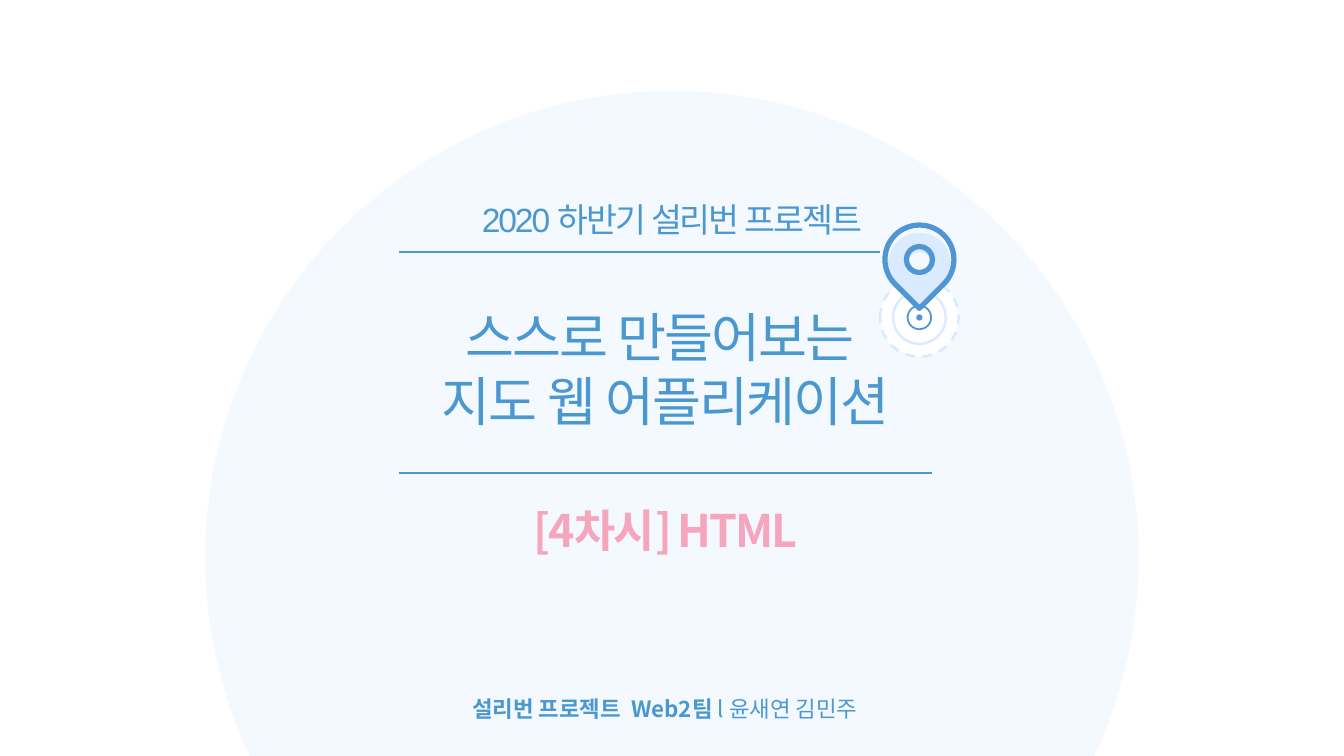
import math
from lxml import etree
from pptx import Presentation
from pptx.dml.color import RGBColor
from pptx.enum.dml import MSO_LINE
from pptx.enum.shapes import MSO_CONNECTOR, MSO_SHAPE
from pptx.enum.text import MSO_ANCHOR, MSO_AUTO_SIZE, PP_ALIGN
from pptx.oxml.ns import qn
from pptx.util import Cm, Pt

OVAL = MSO_SHAPE.OVAL
STRAIGHT = MSO_CONNECTOR.STRAIGHT
DASH = MSO_LINE.DASH
TOP = MSO_ANCHOR.TOP
GROW = MSO_AUTO_SIZE.SHAPE_TO_FIT_TEXT
CENTER = PP_ALIGN.CENTER

COLORS = {
    "white": "FFFFFF",
    "backdrop": "F4F9FF",
    "text": "4B98D1",
    "lesson": "F5A5BC",
    "pale": "DBEBFF",
    "pin": "5096D4",
}
NOTO = "Noto Sans CJK KR"
SLIDE_W, SLIDE_H = 33.87, 19.05
QUARTER_HANDLE = 0.55


def color(name):
    return RGBColor.from_string(COLORS[name])


def paint(sp, fill=None, line=None, width=1, dash=None):
    sp.shadow.inherit = False
    if fill:
        sp.fill.solid()
        sp.fill.fore_color.rgb = color(fill)
    else:
        sp.fill.background()
    if line:
        sp.line.color.rgb = color(line)
        sp.line.width = Pt(width)
        if dash:
            sp.line.dash_style = dash
    else:
        sp.line.fill.background()


def add_circle(shapes, cx, cy, radius, **style):
    sp = shapes.add_shape(OVAL, Cm(cx - radius), Cm(cy - radius), Cm(2 * radius), Cm(2 * radius))
    paint(sp, **style)


def write(sp, paragraphs, size, font, fill="text", spacing=None):
    tf = sp.text_frame
    tf.word_wrap = True
    tf.auto_size = GROW
    tf.vertical_anchor = TOP
    for i, runs in enumerate(paragraphs):
        p = tf.paragraphs[0] if i == 0 else tf.add_paragraph()
        p.alignment = CENTER
        p.line_spacing = 1.0
        p.space_before = Pt(0)
        for text, bold in runs:
            r = p.add_run()
            r.text = text
            r.font.size = Pt(size)
            r.font.bold = bold
            r.font.name = font
            r.font.color.rgb = color(fill)
            props = r.font._element
            etree.SubElement(props, qn("a:ea")).set("typeface", font)
            if spacing is not None:
                props.set("spc", str(int(spacing * 100)))


def add_text(shapes, x, y, w, h, runs, **style):
    write(shapes.add_textbox(Cm(x), Cm(y), Cm(w), Cm(h)), [runs], **style)


def add_rule(shapes, x, y, length):
    s = shapes.add_connector(STRAIGHT, Cm(x), Cm(y), Cm(x + length), Cm(y))
    s.line.color.rgb = color("text")
    s.line.width = Pt(1.5)
    etree.SubElement(s._element.spPr, qn("a:effectLst"))


def quarter_curves(cx, cy, radius, quarters):
    corners = [(1, 0), (0, 1), (-1, 0), (0, -1)]
    points = []
    for i in range(quarters):
        (ax, ay), (bx, by) = corners[i], corners[(i + 1) % 4]
        k = QUARTER_HANDLE
        for ux, uy in ((ax + k * bx, ay + k * by), (bx + k * ax, by + k * ay), (bx, by)):
            points.append((Cm(cx + radius * ux), Cm(cy + radius * uy)))
    return points


def bend(lines):
    for first, second, third in zip(lines[::3], lines[1::3], lines[2::3]):
        curve = etree.Element(qn("a:cubicBezTo"))
        first.addprevious(curve)
        for line in (first, second, third):
            curve.append(line[0])
            line.getparent().remove(line)


def add_drop(shapes, cx, tip, radius, hole, **style):
    cy = tip - radius * math.sqrt(2)
    builder = shapes.build_freeform(Cm(cx + radius), Cm(cy - radius))
    side = (Cm(cx + radius), Cm(cy))
    builder.add_line_segments([side] + quarter_curves(cx, cy, radius, 3), close=True)
    builder.move_to(Cm(cx + hole), Cm(cy))
    builder.add_line_segments(quarter_curves(cx, cy, hole, 4), close=True)
    sp = builder.convert_to_shape()
    bend(list(sp._element.iter(qn("a:lnTo")))[1:])
    sp.rotation = 135
    paint(sp, **style)


def add_pin(shapes, x, y, w, h):
    cx, radius = x + w / 2, w / 2
    cy = y + h - radius
    target = shapes.add_group_shape().shapes
    add_circle(target, cx, cy, radius, fill="white", line="pale", width=1.75, dash=DASH)
    add_circle(target, cx, cy, radius * 0.67, fill="white", line="pale", width=1.75)
    add_circle(target, cx, cy, radius * 0.3, fill="white", line="pin", width=1.25)
    add_circle(target, cx, cy, radius * 0.08, fill="pin")
    marker = shapes.add_group_shape().shapes
    tip = cy - 0.23
    add_drop(marker, cx, tip, 0.79, 0.3, fill="pale")
    add_drop(marker, cx, tip, 0.87, 0.33, line="pin", width=3.75)


def add_heading(slide, x, y, w, h):
    shapes = slide.shapes
    title = shapes.title
    title.left, title.top, title.width, title.height = Cm(x), Cm(y + 2.67), Cm(w), Cm(h)
    lines = ["스스로 만들어보는 ", " 지도 웹 어플리케이션 "]
    write(title, [[(line, False)] for line in lines], size=38, font="Lato", spacing=-1.5)
    add_text(shapes, x + 1.37, y, 18.69, 1.27, [("2020 하반기 설리번 프로젝트", False)],
             size=24, font="Arial", spacing=-1.5)
    add_rule(shapes, x + 3.84, y + 1.47, 12.11)
    add_rule(shapes, x + 3.84, y + 7.03, 13.43)
    add_text(shapes, x, y + 7.67, w, 1.63, [("[4차시] HTML", True)],
             size=32, font=NOTO, fill="lesson", spacing=-1.5)


def add_footer(shapes, x, y, w, h):
    runs = [("설리번 프로젝트  Web2팀 ", True), ("l 윤새연 김민주", False)]
    add_text(shapes, x, y, w, h, runs, size=16, font=NOTO)


def build_cover(prs):
    slide = prs.slides.add_slide(prs.slide_layouts[5])
    slide.background.fill.solid()
    slide.background.fill.fore_color.rgb = color("white")
    shapes = slide.shapes
    add_circle(shapes, SLIDE_W / 2, 14.05, 11.76, fill="backdrop")
    shapes._spTree.append(shapes.title._element)
    add_heading(slide, 6.22, 4.88, 21.11, 3.5)
    add_footer(shapes, 10.19, 17.39, 13.13, 0.94)
    add_pin(shapes, 22.18, 5.66, 1.98, 3.33)


def main():
    prs = Presentation()
    prs.slide_width, prs.slide_height = Cm(SLIDE_W), Cm(SLIDE_H)
    build_cover(prs)
    prs.save("out.pptx")


if __name__ == "__main__":
    main()
